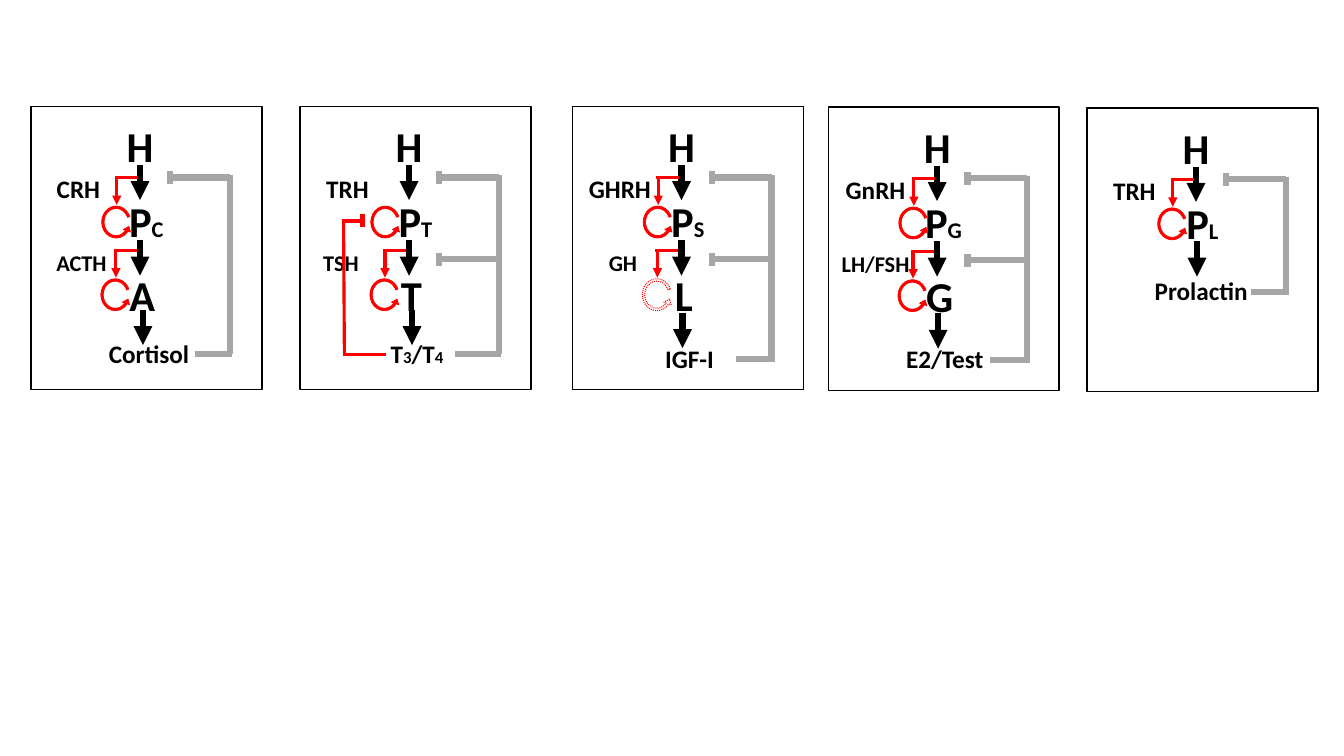
"""Draw five hormone axes with their feedback loops, side by side."""
import pptx
import pptx.dml.color
import pptx.enum.dml
import pptx.enum.shapes
import pptx.enum.text
import pptx.oxml
import pptx.oxml.ns
import pptx.util

Pt = pptx.util.Pt
BLACK, RED, GREY = "000000", "FF0000", "A6A6A6"
BIG, MID, LOW, SUB = 30.4, 18, 16, 12
WIDE, TALL = 165, 202.4
STEP = 51.9

AXES = [
    dict(at=(22.2, 75.9), gland=("C", 33.1), organ=("A", 26.6),
         first=("CRH", 39.6), next=("ACTH", 44.6, 36),
         end=([("Cortisol", MID)], 66.2, 84.2, 163.4),
         foot=(117.4, 177.1, 177.1), last=(79.9, 145.4)),
    dict(at=(214.4, 75.9), gland=("T", 32.4), organ=("T", 23),
         first=("TRH", 39.6), next=("TSH", 33.8, 29.2),
         end=([("T", MID), ("3", SUB), ("/T", MID), ("4", SUB)],
              46.1, 83.5, 163.4),
         foot=(110.9, 177.1, 177.1), last=(79.9, 145.4),
         bare=True, double=True, short=True),
    dict(at=(409, 75.9), gland=("S", 33.1), organ=("L", 20.9),
         first=("GHRH", 53.3), next=("GH", 28.8, 36),
         end=([("IGF-I", MID)], 43.2, 83.5, 167),
         foot=(116.6, 180.7, 182.9), last=(78.5, 147.6),
         dotted=True, double=True),
    dict(at=(591.6, 76.6), gland=("G", 34.6), organ=("G", 28.1),
         first=("GnRH", 53.3), next=("LH/FSH", 57.6, 33.8),
         end=([("E2/Test", MID)], 64.1, 83.2, 166.7),
         foot=(115.9, 180.4, 182.5), last=(78.5, 147.3), double=True),
    dict(at=(776.5, 77.2), gland=("L", 31), first=("TRH", 38.9),
         end=([("Prolactin", MID)], 74.9, 81.5, 117.4),
         foot=(117.4, 131.2, 133.4), last=(78.5, 95.2)),
]


def tint(code):
    """Turn a hex string into a colour."""
    return pptx.dml.color.RGBColor.from_string(code)


def text(slide, runs, mid, top, wide, tall=41, color=BLACK, bold=True):
    """Write centred runs of (words, size) around a middle x."""
    box = slide.shapes.add_textbox(Pt(mid - wide / 2), Pt(top), Pt(wide), Pt(tall))
    frame = box.text_frame
    frame.word_wrap = False
    frame.auto_size = pptx.enum.text.MSO_AUTO_SIZE.SHAPE_TO_FIT_TEXT
    frame.margin_left = frame.margin_right = Pt(2.5)
    frame.margin_top = frame.margin_bottom = Pt(2.25)
    para = frame.paragraphs[0]
    para.alignment = pptx.enum.text.PP_ALIGN.CENTER
    for words, size in runs:
        run = para.add_run()
        run.text = words
        run.font.name = "Calibri"
        run.font.size = Pt(size)
        run.font.bold = bold
        run.font.color.rgb = tint(color)


def line(slide, start, stop, color, width, arrow=False):
    """Draw a straight line, with an arrowhead if asked."""
    link = slide.shapes.add_connector(
        pptx.enum.shapes.MSO_CONNECTOR.STRAIGHT, *map(Pt, (*start, *stop)))
    link.line.color.rgb = tint(color)
    link.line.width = Pt(width)
    if arrow:
        head = pptx.oxml.parse_xml(
            f'<a:tailEnd {pptx.oxml.ns.nsdecls("a")} type="triangle"/>')
        link.line._get_or_add_ln().append(head)
    link._element.spPr.append(
        pptx.oxml.parse_xml(f'<a:effectLst {pptx.oxml.ns.nsdecls("a")}/>'))


def loop(slide, left, top, dotted=False):
    """Draw the red ring arrow beside a gland."""
    kinds = pptx.enum.shapes.MSO_SHAPE
    ring = slide.shapes.add_shape(
        kinds.CIRCULAR_ARROW, Pt(left), Pt(top), Pt(26.6), Pt(24.5))
    for spot, value in enumerate((0.071, 12.212, 30.443, 67.552, 0.112)):
        ring.adjustments[spot] = value
    ring.rotation = 270
    ring._element.spPr.find(pptx.oxml.ns.qn("a:xfrm")).set("flipH", "1")
    ring.shadow.inherit = False
    ring.line.color.rgb = tint(RED)
    ring.line.width = Pt(0.75 if dotted else 0.5)
    if dotted:
        ring.fill.background()
        ring.line.dash_style = pptx.enum.dml.MSO_LINE.ROUND_DOT
    else:
        ring.fill.solid()
        ring.fill.fore_color.rgb = tint(RED)


def branch(slide, left, top, bare=False, dotted=False):
    """Draw a red side branch that leads down to a loop."""
    if not bare:
        line(slide, (left, top), (left + 16.4, top), RED, 2.25)
        line(slide, (left + 1.4, top), (left + 1.4, top + 19.5), RED, 2.25, True)
    loop(slide, left - 12.3, top + 19.5, dotted)


def block(slide, left, top):
    """Draw a grey feedback line that ends in a bar."""
    line(slide, (left, top - 4.7), (left, top + 4.7), GREY, 4.5)
    line(slide, (left, top), (left + 42.8, top), GREY, 4.5)


def short(slide, left, top):
    """Draw the red feedback from the hormone to the gland."""
    side, foot = left + 31, top + 177.1
    line(slide, (side - 0.7, foot), (left + 61.2, foot), RED, 2.25)
    line(slide, (side, top + 82), (side + 0.6, foot), RED, 2.25)
    line(slide, (side - 1.4, top + 82), (left + 43.2, top + 82), RED, 2.25)
    line(slide, (left + 44.6, top + 77), (left + 44.6, top + 86.4), RED, 3)


def panel(slide, left, top, axis):
    """Draw one framed axis from its top left corner."""
    spine = left + 77.8
    text(slide, [("H", BIG)], spine, top + 7.7, 27.4)
    sign, wide = axis["gland"]
    text(slide, [("P", BIG), (sign, LOW)], left + 82.3, top + 61, wide)
    line(slide, (spine, top + 41.8), (spine, top + 67), BLACK, 4.5, True)
    branch(slide, left + 59.8, top + 51, bare=axis.get("bare"))
    words, wide = axis["first"]
    text(slide, [(words, MID)], left + 33.8, top + 45.8, wide, 25.9)

    if "organ" in axis:
        sign, wide = axis["organ"]
        text(slide, [(sign, BIG)], left + 79.5, top + 114.1, wide)
        line(slide, (spine, top + 95.8), (spine, top + 121), BLACK, 4.5, True)
        branch(slide, left + 59.2, top + 51 + STEP, dotted=axis.get("dotted"))
        words, wide, mid = axis["next"]
        text(slide, [(words, LOW)], left + mid, top + 99.8, wide, 23.8)

    runs, wide, mid, drop = axis["end"]
    text(slide, runs, left + mid, top + drop, wide, 25.9)
    shift, drop = axis["last"]
    line(slide, (left + shift, top + drop), (left + shift, top + drop + 25.2),
         BLACK, 4.5, True)

    start, foot, deep = axis["foot"]
    line(slide, (left + start, top + foot), (left + 143.6, top + foot), GREY, 4.5)
    line(slide, (left + 142, top + 49), (left + 142, top + deep), GREY, 4.5)
    block(slide, left + 99.4, top + 50.8)
    if axis.get("double"):
        block(slide, left + 99.4, top + 109.3)
    if axis.get("short"):
        short(slide, left, top)

    frame = slide.shapes.add_shape(pptx.enum.shapes.MSO_SHAPE.RECTANGLE,
                                   Pt(left), Pt(top), Pt(WIDE), Pt(TALL))
    frame.shadow.inherit = False
    frame.fill.background()
    frame.line.color.rgb = tint(BLACK)
    frame.line.width = Pt(1)


def main():
    """Build the slide and save it."""
    deck = pptx.Presentation()
    deck.slide_width, deck.slide_height = Pt(960), Pt(540)
    slide = deck.slides.add_slide(deck.slide_layouts[6])
    for axis in AXES:
        panel(slide, *axis["at"], axis)
    deck.save("out.pptx")


if __name__ == "__main__":
    main()
